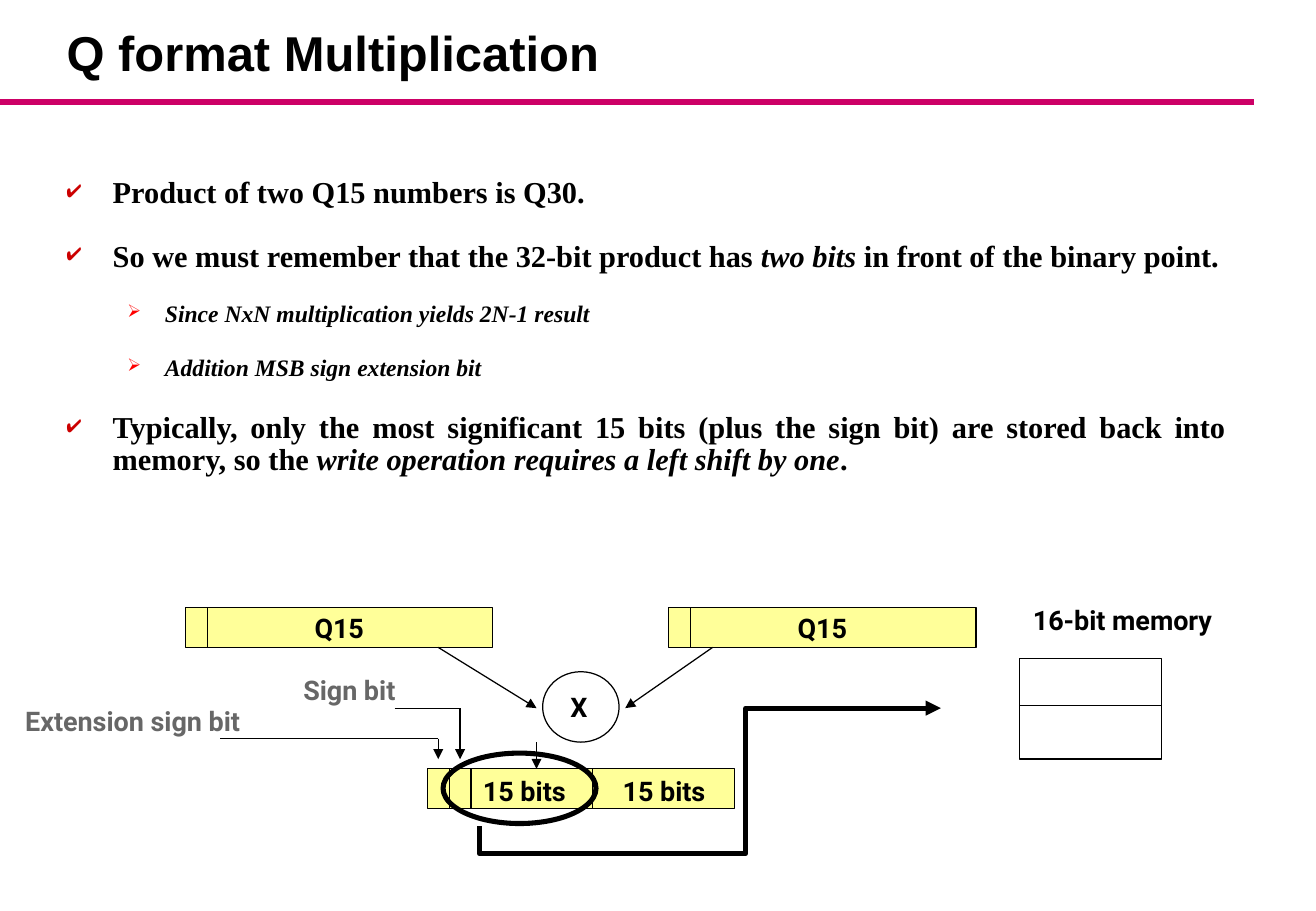
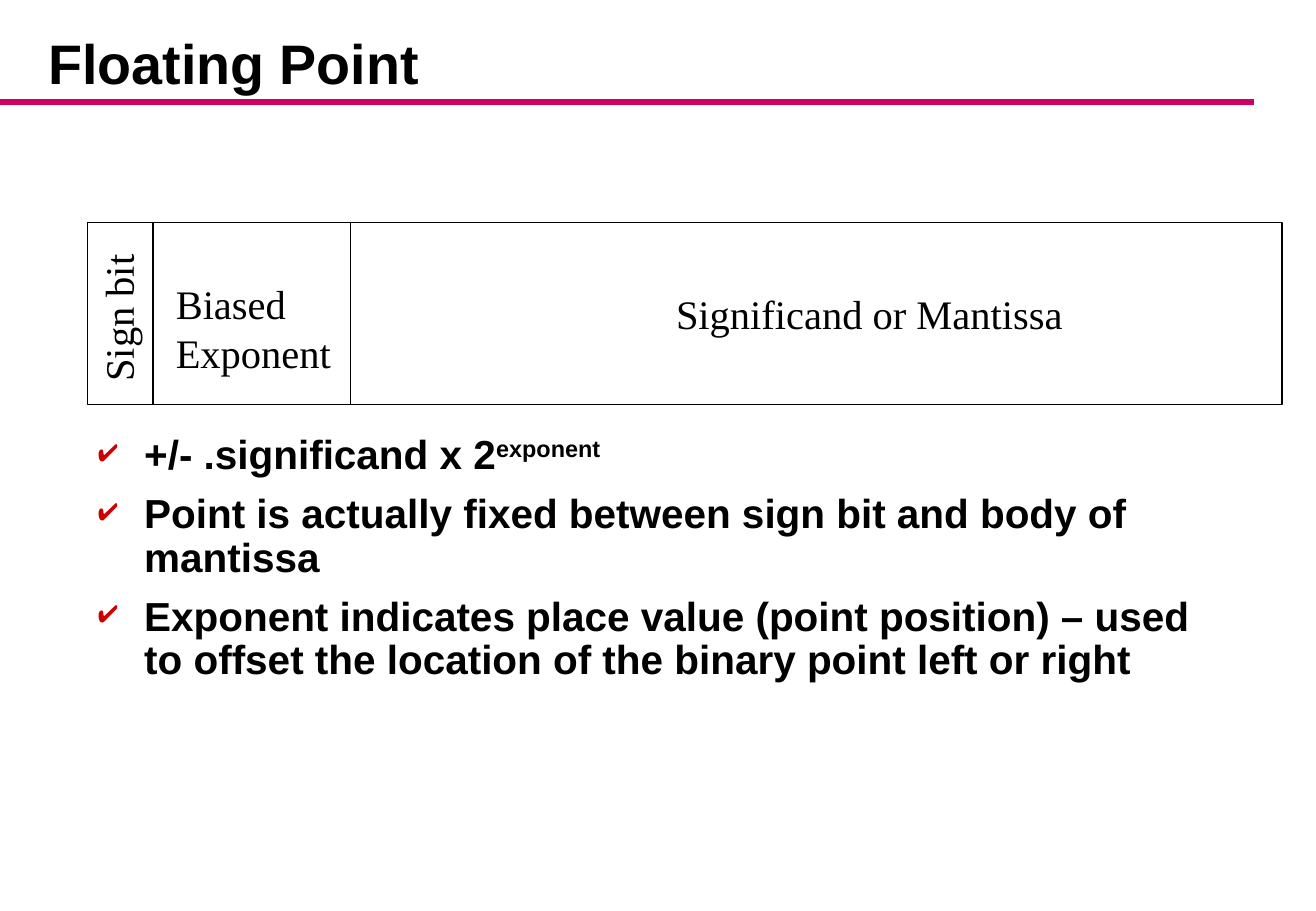
from lxml import etree
from pptx import Presentation
from pptx.dml.color import RGBColor
from pptx.enum.shapes import MSO_CONNECTOR as LINK, MSO_SHAPE as SHAPE
from pptx.enum.text import MSO_ANCHOR as ANCHOR, MSO_AUTO_SIZE as FIT, PP_ALIGN as ALIGN
from pptx.oxml.ns import qn
from pptx.util import Emu, Pt

PX = 9144
SLIDE_SIZE = 1084, 750
BLACK, GREY, PINK, YELLOW = "000000", "676767", "CC0066", "FFFF99"
SANS, SERIF, LABEL = "Arial", "Times New Roman", "Roboto"

CHECK = dict(char="✔", color="CC0000", margin=38, hang=38)
ARROW = dict(char="➢", color="FF0000", margin=81, hang=31)

Q_TITLE = "Q format Multiplication", (45, 5, 975, 67), 29
Q_POINT = dict(bullet=CHECK, size=18, before=6.8, after=12.1)
Q_DETAIL = dict(bullet=ARROW, size=14, before=5.2, after=12.1, italic=True)
Q_LAST = dict(Q_POINT, after=0, align=ALIGN.JUSTIFY)
Q_POINTS = [
    ([("Product of two Q15 numbers is Q30.", "")], Q_POINT),
    ([("So we must remember that the 32-bit product has ", ""), ("two bits", "italic"),
      (" in front of the binary point.", "")], Q_POINT),
    ([("Since NxN multiplication yields 2N-1 result", "")], Q_DETAIL),
    ([("Addition MSB sign extension bit", "")], Q_DETAIL),
    ([("Typically, only the most significant 15 bits (plus the sign bit) are stored back "
       "into memory, so the ", ""), ("write operation requires a left shift by one", "italic"),
      (".", "")], Q_LAST),
]
REGISTER_SIZE = 253, 33
REGISTERS = [
    ((153, 500), "Q15", [18]),
    ((551, 500), "Q15", [18]),
    ((352, 633), "", [18, 36, 136]),
]
DIAGRAM_LABELS = [
    ("X", (460, 564, 35, 37), BLACK),
    ("16-bit memory", (841, 492, 181, 37), BLACK),
    ("15 bits", (503, 633, 92, 37), BLACK),
    ("15 bits", (388, 633, 92, 37), BLACK),
    ("Sign bit", (240, 550, 104, 37), GREY),
    ("Extension sign bit", (11, 575, 217, 37), GREY),
]
ARROWS = [
    (587, 533, 515, 583),
    (361, 533, 442, 583),
    (442, 611, 442, 633),
    (379, 583, 379, 625),
    (361, 608, 361, 625),
]
LEADERS = [(325, 583, 379, 583), (361, 608, 181, 608)]
MULTIPLIER = 447, 553, 63, 58
KEPT_BITS = 365, 620, 126, 58
MEMORY, MEMORY_SPLIT = (840, 542, 117, 83), 581
STORE_PATH = 395, 680, 775, 583
STORE_BENDS = dict(adj1=42300, adj2=123600)

FLOAT_TITLE = "Floating Point", (30, 21, 1016, 63), 33
FLOAT_POINT = dict(bullet=CHECK, size=24, before=9, spacing=0.9, font=SANS)
FLOAT_POINTS = [
    [("+/- .significand x 2", ""), ("exponent", "super")],
    [("Point is actually fixed between sign bit and body of mantissa", "")],
    [("Exponent indicates place value (point position) – used to offset the location "
      "of the binary point left or right", "")],
]
FIELD_LEFT, FIELD_TOP, FIELD_HEIGHT = 72, 183, 150
FIELDS = [
    (54, ["Sign bit"], (25, 227, 144, 50), 270),
    (163, ["Biased", "Exponent"], (135, 225, 154, 90), 0),
    (767, ["Significand or Mantissa"], (547, 233, 368, 50), 0),
]


def rgb(color):
    return RGBColor.from_string(color)


def emu(lengths):
    return [Emu(length * PX) for length in lengths]


def add_xml(parent, tag, **attributes):
    return etree.SubElement(parent, qn(tag), attributes)


def add_bullet(paragraph, char, color, margin, hang):
    properties = paragraph._p.get_or_add_pPr()
    properties.set("marL", str(margin * PX))
    properties.set("indent", str(-hang * PX))
    add_xml(add_xml(properties, "a:buClr"), "a:srgbClr", val=color)
    add_xml(properties, "a:buSzPct", val="75000")
    add_xml(properties, "a:buChar", char=char)


def write(paragraph, runs, size, font, color=BLACK, bold=False, italic=False,
          align=None, spacing=None, before=0, after=0, bullet=None):
    paragraph.alignment = align
    paragraph.line_spacing = spacing
    paragraph.space_before, paragraph.space_after = Pt(before), Pt(after)
    if bullet:
        add_bullet(paragraph, **bullet)
    style = paragraph.font
    style.name, style.size, style.bold, style.italic = font, Pt(size), bold, italic
    style.color.rgb = rgb(color)
    for text, accent in runs:
        run = paragraph.add_run()
        run.text = text
        if accent == "italic":
            run.font.italic = True
        elif accent == "super":
            run._r.get_or_add_rPr().set("baseline", "30000")


def write_all(frame, paragraphs):
    for index, (runs, style) in enumerate(paragraphs):
        paragraph = frame.add_paragraph() if index else frame.paragraphs[0]
        write(paragraph, runs, **style)


def add_text(slide, box, paragraphs, anchor=ANCHOR.TOP):
    text = slide.shapes.add_textbox(*emu(box))
    text.text_frame.word_wrap = True
    text.text_frame.vertical_anchor = anchor
    write_all(text.text_frame, paragraphs)


def add_label(slide, lines, box, rotation=0, **style):
    label = slide.shapes.add_textbox(*emu(box))
    label.rotation = rotation
    label.text_frame.word_wrap = True
    label.text_frame.auto_size = FIT.NONE
    write_all(label.text_frame, [([(line, "")], style) for line in lines])


def add_outline(slide, kind, box, fill=None, width=0.75):
    outline = slide.shapes.add_shape(kind, *emu(box))
    outline.shadow.inherit = False
    if fill:
        outline.fill.solid()
        outline.fill.fore_color.rgb = rgb(fill)
    else:
        outline.fill.background()
    outline.line.color.rgb = rgb(BLACK)
    outline.line.width = Pt(width)
    return outline


def add_line(slide, ends, color=BLACK, width=0.75, kind=LINK.STRAIGHT, arrow=None):
    line = slide.shapes.add_connector(kind, *emu(ends))
    line.line.color.rgb = rgb(color)
    line.line.width = Pt(width)
    if arrow:
        add_xml(line.line._get_or_add_ln(), arrow, type="triangle")
    add_xml(line._element.spPr, "a:effectLst")
    return line


def add_slide(deck, title, box, size):
    slide = deck.slides.add_slide(deck.slide_layouts[6])
    add_line(slide, (0, 84, 1033, 84), PINK, 4)
    style = dict(size=size, font=SANS, bold=True, spacing=0.87)
    add_text(slide, box, [([(title, "")], style)], ANCHOR.BOTTOM)
    return slide


def add_register(slide, corner, name, dividers):
    left, top = corner
    width, height = REGISTER_SIZE
    register = add_outline(slide, SHAPE.RECTANGLE, (left, top, width, height), YELLOW)
    if name:
        frame = register.text_frame
        frame.word_wrap = False
        frame.vertical_anchor = ANCHOR.MIDDLE
        write(frame.paragraphs[0], [(name, "")], 16, LABEL, bold=True, align=ALIGN.CENTER)
    for offset in dividers:
        add_line(slide, (left + offset, top, left + offset, top + height))


def add_store_path(slide):
    path = add_line(slide, STORE_PATH, width=3, kind=LINK.ELBOW, arrow="a:headEnd")
    properties = path._element.spPr
    properties.find(qn("a:xfrm")).set("rot", "10800000")
    geometry = properties.find(qn("a:prstGeom"))
    geometry.set("prst", "bentConnector4")
    guides = geometry.find(qn("a:avLst"))
    for name, value in STORE_BENDS.items():
        add_xml(guides, "a:gd", name=name, fmla=f"val {value}")


def build_multiplication(deck):
    slide = add_slide(deck, *Q_TITLE)
    shared = dict(font=SERIF, bold=True, spacing=0.87)
    add_text(slide, (45, 142, 975, 342),
             [(runs, {**shared, **style}) for runs, style in Q_POINTS])
    for register in REGISTERS:
        add_register(slide, *register)
    add_outline(slide, SHAPE.OVAL, MULTIPLIER)
    add_outline(slide, SHAPE.RECTANGLE, MEMORY)
    left, _, width, _ = MEMORY
    add_line(slide, (left, MEMORY_SPLIT, left + width, MEMORY_SPLIT))
    for ends in LEADERS:
        add_line(slide, ends)
    for ends in ARROWS:
        add_line(slide, ends, arrow="a:tailEnd")
    for text, box, color in DIAGRAM_LABELS:
        add_label(slide, [text], box, size=16, font=LABEL, color=color, bold=True)
    add_outline(slide, SHAPE.OVAL, KEPT_BITS, width=3)
    add_store_path(slide)


def build_floating_point(deck):
    slide = add_slide(deck, *FLOAT_TITLE)
    style = dict(FLOAT_POINT, bold=True)
    add_text(slide, (71, 353, 940, 306), [(runs, style) for runs in FLOAT_POINTS])
    left = FIELD_LEFT
    for width, lines, box, rotation in FIELDS:
        add_outline(slide, SHAPE.RECTANGLE, (left, FIELD_TOP, width, FIELD_HEIGHT))
        add_label(slide, lines, box, rotation, size=24, font=SERIF)
        left += width


def main():
    deck = Presentation()
    deck.slide_width, deck.slide_height = emu(SLIDE_SIZE)
    build_multiplication(deck)
    build_floating_point(deck)
    deck.save("out.pptx")


if __name__ == "__main__":
    main()
